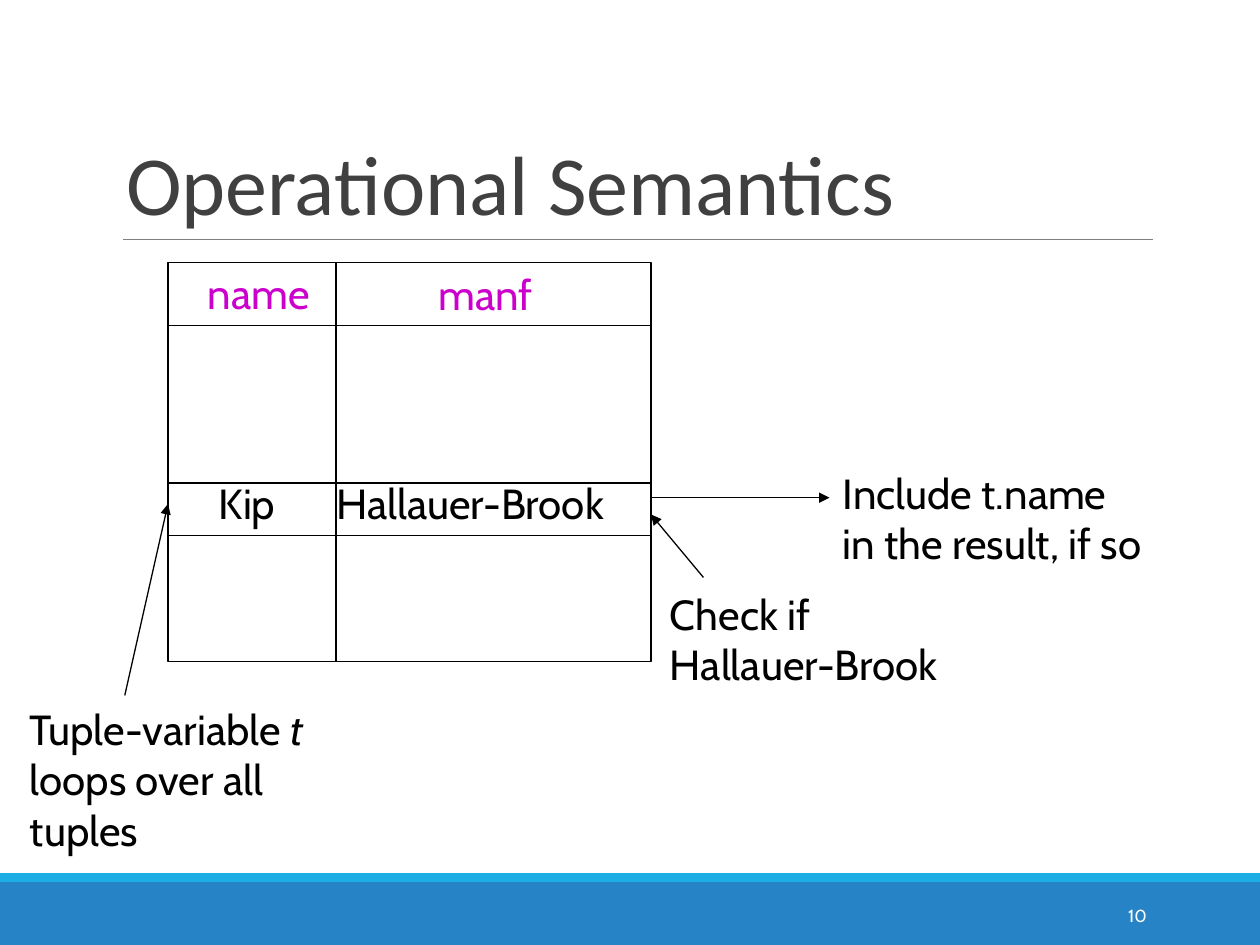
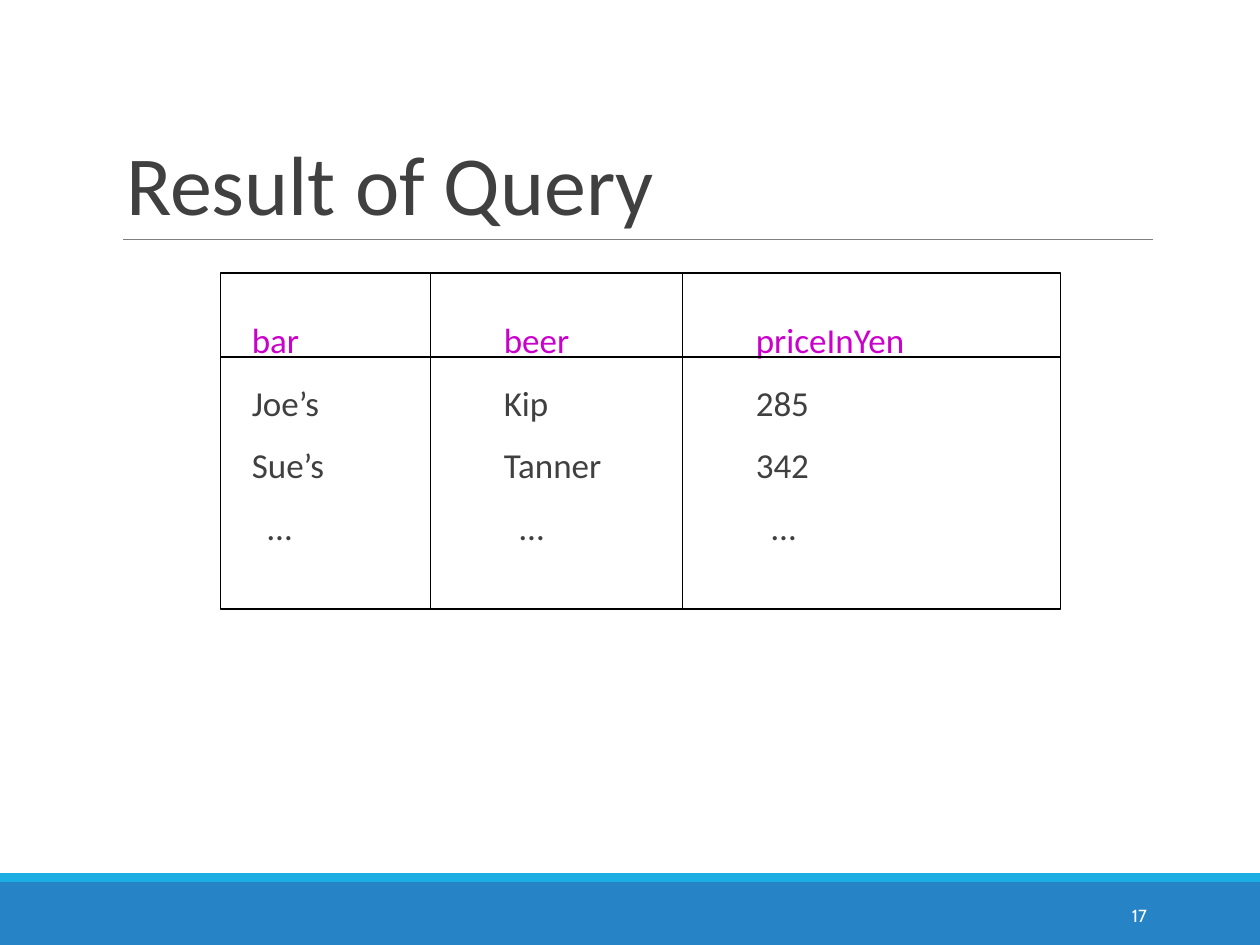
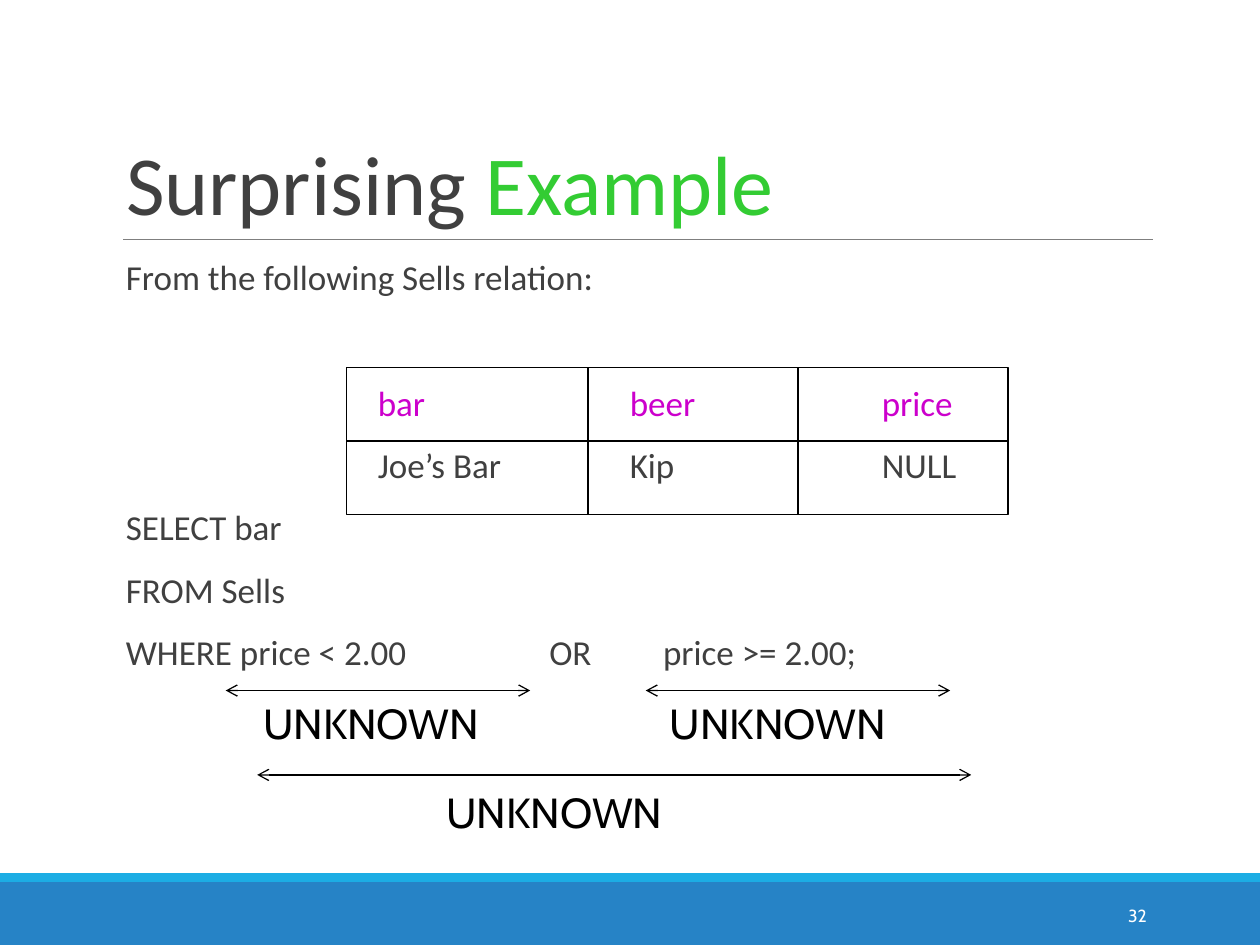
import pptx
import pptx.dml.color
import pptx.enum.shapes
import pptx.enum.text
import pptx.oxml
import pptx.oxml.ns
import pptx.util

Pt = pptx.util.Pt
BLACK, WHITE, GRAY, RULE = "000000", "FFFFFF", "404040", "7F7F7F"
BLUE, SKY, MAGENTA, GREEN = "2683C6", "1CADE4", "CC00CC", "33CC33"
HEADING_FONT, NOTE_FONT = "Calibri", "Cabin"
TITLE_ONLY = 5
ANCHOR = pptx.enum.text.MSO_ANCHOR
ALIGN = pptx.enum.text.PP_ALIGN


def rgb(color):
    return pptx.dml.color.RGBColor.from_string(color)


def add_xml(parent, tag, **attributes):
    child = pptx.oxml.parse_xml(f"<a:{tag} {pptx.oxml.ns.nsdecls('a')}/>")
    for key, value in attributes.items():
        child.set(key, str(value))
    parent.append(child)
    return child


def place(shape, left, top, width, height):
    shape.left, shape.top = Pt(left), Pt(top)
    shape.width, shape.height = Pt(width), Pt(height)


def format_run(run, size, face, color):
    run.font.size = Pt(size)
    run.font.name = face
    run.font.color.rgb = rgb(color)


def format_runs(paragraph, size, face, color):
    for run in paragraph.runs:
        format_run(run, size, face, color)


def set_tabs(paragraph, stops):
    tab_list = add_xml(paragraph._p.get_or_add_pPr(), "tabLst")
    for stop in stops:
        add_xml(tab_list, "tab", pos=Pt(stop), algn="l")


def add_box(slide, left, top, width, height, fill=None, outline=None):
    box = slide.shapes.add_shape(
        pptx.enum.shapes.MSO_SHAPE.RECTANGLE, Pt(left), Pt(top), Pt(width), Pt(height))
    box.shadow.inherit = False
    if fill:
        box.fill.solid()
        box.fill.fore_color.rgb = rgb(fill)
    else:
        box.fill.background()
    if outline:
        box.line.color.rgb = rgb(outline)
        box.line.width = Pt(0.74)
    else:
        box.line.fill.background()


def add_line(slide, start, end, color=BLACK, weight=0.74, head=None, tail=None):
    line = slide.shapes.add_connector(
        pptx.enum.shapes.MSO_CONNECTOR.STRAIGHT, *map(Pt, start + end))
    line.line.color.rgb = rgb(color)
    line.line.width = Pt(weight)
    properties = line.element.spPr
    stroke = properties.find(pptx.oxml.ns.qn("a:ln"))
    if head:
        add_xml(stroke, "headEnd", type=head)
    if tail:
        add_xml(stroke, "tailEnd", type=tail)
    add_xml(properties, "effectLst")


def add_grid(slide, left, top, width, height, columns, rows):
    add_box(slide, left, top, width, height, outline=BLACK)
    for y in rows:
        add_line(slide, (left, y), (left + width, y))
    for x in columns:
        add_line(slide, (x, top), (x, top + height))


def add_note(slide, text, left, top, width, height,
             color=BLACK, size=24, face=NOTE_FONT):
    note = slide.shapes.add_textbox(Pt(left), Pt(top), Pt(width), Pt(height))
    frame = note.text_frame
    frame.word_wrap = True
    frame.text = text
    for paragraph in frame.paragraphs:
        format_runs(paragraph, size, face, color)
    return frame


def add_page(deck, title, number, accent=None):
    slide = deck.slides.add_slide(deck.slide_layouts[TITLE_ONLY])
    add_box(slide, 0, 504, 720, 36, fill=BLUE)
    add_box(slide, 0, 499, 720, 5, fill=SKY)
    add_line(slide, (70.56, 136.8), (658.8, 136.8), RULE, 0.51)

    heading = slide.shapes.title
    place(heading, 64.8, 22.5, 594, 114.3)
    frame = heading.text_frame
    frame.auto_size = pptx.enum.text.MSO_AUTO_SIZE.NONE
    frame.vertical_anchor = ANCHOR.BOTTOM
    frame.text = title
    paragraph = frame.paragraphs[0]
    paragraph.alignment = ALIGN.LEFT
    paragraph.line_spacing = 0.85
    format_runs(paragraph, 48, HEADING_FONT, GRAY)
    if accent:
        accent_run = paragraph.add_run()
        accent_run.text = accent
        format_run(accent_run, 48, HEADING_FONT, GREEN)

    page_number = add_note(slide, number, 584.64, 508.7, 77.76, 28.8, WHITE, 10)
    page_number.vertical_anchor = ANCHOR.MIDDLE
    page_number.paragraphs[0].alignment = ALIGN.RIGHT
    return slide


def add_tabbed_lines(slide, lines, top_inset=3.6):
    text = "\n".join(line[0] for line in lines)
    frame = add_note(slide, text, 64.8, 145.4, 594, 316.8, GRAY, 20, HEADING_FONT)
    frame.margin_right, frame.margin_top = Pt(0), Pt(top_inset)
    for paragraph, (text, color, stops, before) in zip(frame.paragraphs, lines):
        paragraph.line_spacing = 0.9
        paragraph.space_before, paragraph.space_after = Pt(before), Pt(2)
        if stops:
            set_tabs(paragraph, stops)
        format_runs(paragraph, 20, HEADING_FONT, color)


def build_semantics(deck):
    slide = add_page(deck, "Operational Semantics", "10")
    add_grid(slide, 96, 150, 276, 228, columns=[192], rows=[186, 276, 306])
    add_note(slide, "name", 111.6, 149.4, 78.5, 36, MAGENTA)
    add_note(slide, "manf", 243.4, 149.8, 73.4, 36, MAGENTA)
    add_note(slide, "Kip", 118, 269.3, 59.8, 36)
    add_note(slide, "Hallauer-Brook", 185, 269.3, 198.7, 36)

    add_note(slide, "Check if\nHallauer-Brook", 375.8, 332.6, 198.7, 64.8)
    add_line(slide, (402, 330), (372, 294), tail="triangle")
    add_note(slide, "Include t.name \nin the result, if so", 474.5, 263.5, 208.8, 64.8)
    add_line(slide, (372, 284.4), (474, 284.4), tail="triangle")

    loop_note = add_note(
        slide, "Tuple-variable \nloops over all\ntuples", 10, 398.4, 188.6, 93.6)
    variable = loop_note.paragraphs[0].add_run()
    variable.text = "t"
    format_run(variable, 24, NOTE_FONT, BLACK)
    variable.font.italic = True
    add_line(slide, (71.3, 397.4), (96, 288), tail="triangle")


def build_result(deck):
    slide = add_page(deck, "Result of Query", "17")
    stops = [72, 216, 360]
    add_tabbed_lines(slide, [
        ("\tbar\tbeer\tpriceInYen", MAGENTA, stops, 12),
        ("\tJoe’s\tKip\t285", GRAY, stops, 12),
        ("\tSue’s\tTanner\t342", GRAY, stops, 12),
        ("\t…\t…\t…", GRAY, [stop + 9 for stop in stops], 12),
    ], top_inset=39.6)
    add_grid(slide, 126, 156, 480, 192, columns=[246, 390], rows=[204])


def build_example(deck):
    slide = add_page(deck, "Surprising ", "32", accent="Example")
    stops = [144, 288, 432]
    add_tabbed_lines(slide, [
        ("From the following Sells relation:", GRAY, [], 12),
        ("\tbar\tbeer\tprice", MAGENTA, stops, 48),
        ("\tJoe’s Bar\tKip\tNULL", GRAY, stops, 12),
        ("SELECT bar", GRAY, [], 12),
        ("FROM Sells", GRAY, [], 12),
        ("WHERE price < 2.00\tOR\tprice >= 2.00;", GRAY, [242, 307], 12),
    ])
    add_grid(slide, 198, 210, 378, 84, columns=[336, 456], rows=[252])

    conditions = add_note(slide, "UNKNOWN\tUNKNOWN", 143.3, 394.8, 377.3, 36)
    set_tabs(conditions.paragraphs[0], [232.5])
    add_note(slide, "UNKNOWN", 248, 445.7, 142.6, 36)
    for left, right, y in [(129, 303, 394.6), (369, 543, 394.6), (147, 555, 442.8)]:
        add_line(slide, (left, y), (right, y), head="arrow", tail="arrow")


def main():
    deck = pptx.Presentation()
    deck.slide_width, deck.slide_height = Pt(720), Pt(540)
    build_semantics(deck)
    build_result(deck)
    build_example(deck)
    deck.save("out.pptx")


main()
